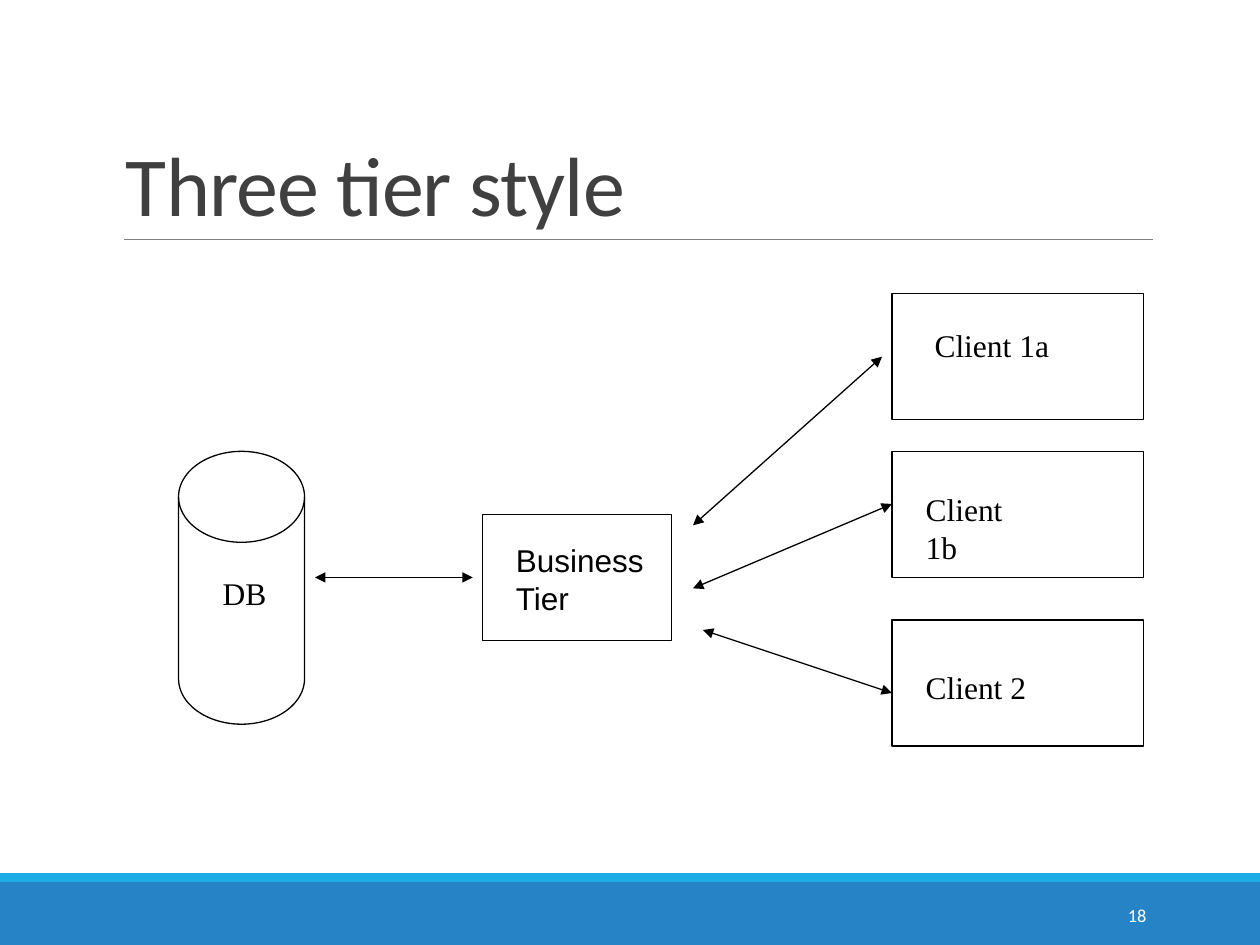
from lxml import etree
from pptx import Presentation
from pptx.dml.color import RGBColor
from pptx.enum.shapes import MSO_CONNECTOR, MSO_SHAPE
from pptx.enum.text import MSO_ANCHOR, MSO_AUTO_SIZE, PP_ALIGN
from pptx.oxml.ns import qn
from pptx.util import Cm, Pt

BLACK, WHITE, GRAY = "000000", "FFFFFF", "808080"
SERIF, SANS, BODY = "Times New Roman", "Arial", "Calibri"


def rgb(value):
    """Turn a hex string into a colour."""
    return RGBColor.from_string(value)


def add_block(s, kind, box, fill=None, line=None):
    """Add a preset shape, filled or outlined."""
    sp = s.shapes.add_shape(kind, *map(Cm, box))
    sp.shadow.inherit = False
    if fill:
        sp.fill.solid()
        sp.fill.fore_color.rgb = rgb(fill)
    else:
        sp.fill.background()
    if line:
        sp.line.color.rgb = rgb(line)
        sp.line.width = Pt(0.75)
    else:
        sp.line.fill.background()
    return sp


def add_line(s, start, end, color=BLACK, width=0.75, arrows=False):
    """Add a straight line, with arrowheads at both ends if asked."""
    c = s.shapes.add_connector(MSO_CONNECTOR.STRAIGHT, *map(Cm, start + end))
    c.line.color.rgb = rgb(color)
    c.line.width = Pt(width)
    if arrows:
        ln = c.line._get_or_add_ln()
        for tag in ("a:headEnd", "a:tailEnd"):
            etree.SubElement(ln, qn(tag), type="triangle")
    etree.SubElement(c._element.spPr, qn("a:effectLst"))


def add_text(s, box, text, size, font, color=BLACK, wrap=False):
    """Add a text box and return its text frame."""
    tf = s.shapes.add_textbox(*map(Cm, box)).text_frame
    tf.word_wrap = wrap
    tf.auto_size = MSO_AUTO_SIZE.NONE if wrap else MSO_AUTO_SIZE.SHAPE_TO_FIT_TEXT
    tf.text = text
    for p in tf.paragraphs:
        for r in p.runs:
            r.font.size = Pt(size)
            r.font.name = font
            r.font.color.rgb = rgb(color)
    return tf


def add_node(s, kind, box, text, offset, label_size, font=SERIF):
    """Add an outlined block with a label offset from its corner."""
    x, y, _, _ = box
    dx, dy = offset
    add_block(s, kind, box, line=BLACK)
    add_text(s, (x + dx, y + dy, *label_size), text, 18, font)


def add_title(s, x, y, w, h):
    """Place the title and the rule below it."""
    tf = add_text(s, (x, y, w, h), "Three tier style", 48, BODY, "404040", True)
    tf.vertical_anchor = MSO_ANCHOR.BOTTOM
    p = tf.paragraphs[0]
    p.line_spacing = 0.85
    p.runs[0].font._element.set("spc", "-50")
    add_line(s, (x + 0.2, y + h), (x + w, y + h), GRAY, 0.5)


def add_diagram(s, x, y):
    """Place the database, business tier, clients and arrows."""
    add_node(s, MSO_SHAPE.FLOWCHART_MAGNETIC_DISK, (x, y + 3.18, 2.54, 5.5),
             "DB", (0.64, 2.34), (1.4, 1.02))
    add_node(s, MSO_SHAPE.RECTANGLE, (x + 6.13, y + 4.45, 3.81, 2.54),
             "Business\nTier", (0.42, 0.42), (3.1, 1.78), SANS)
    clients = [("Client 1a", 0, (0.61, 0.53), 2.82),
               ("Client 1b", 3.18, (0.43, 0.66), 2.84),
               ("Client 2", 6.58, (0.43, 0.84), 2.54)]
    for text, top, offset, width in clients:
        add_node(s, MSO_SHAPE.RECTANGLE, (x + 14.38, y + top, 5.08, 2.54),
                 text, offset, (width, 1.02))
    arrows = [(2.75, 5.72, 5.93, 5.72), (10.37, 4.67, 14.18, 1.27),
              (10.37, 5.94, 14.38, 4.24), (10.57, 6.78, 14.38, 8.05)]
    for x1, y1, x2, y2 in arrows:
        add_line(s, (x + x1, y + y1), (x + x2, y + y2), arrows=True)


def add_footer(s, x, y, w, h):
    """Place the footer bands and the slide number."""
    strip = 0.18
    add_block(s, MSO_SHAPE.RECTANGLE, (x, y + strip, w, h - strip), "2683C6")
    add_block(s, MSO_SHAPE.RECTANGLE, (x, y, w, strip), "1CADE4")
    tf = add_text(s, (x + 20.62, y + 0.33, 2.74, 1.02), "18", 10.5, BODY, WHITE, True)
    tf.vertical_anchor = MSO_ANCHOR.MIDDLE
    tf.paragraphs[0].alignment = PP_ALIGN.RIGHT


def main():
    """Build the slide and save it."""
    prs = Presentation()
    prs.slide_width, prs.slide_height = Cm(25.4), Cm(19.05)
    s = prs.slides.add_slide(prs.slide_layouts[6])
    add_footer(s, 0, 17.6, 25.4, 1.45)
    add_title(s, 2.29, 0.79, 20.95, 4.04)
    add_diagram(s, 3.6, 5.92)
    prs.save("out.pptx")


if __name__ == "__main__":
    main()
